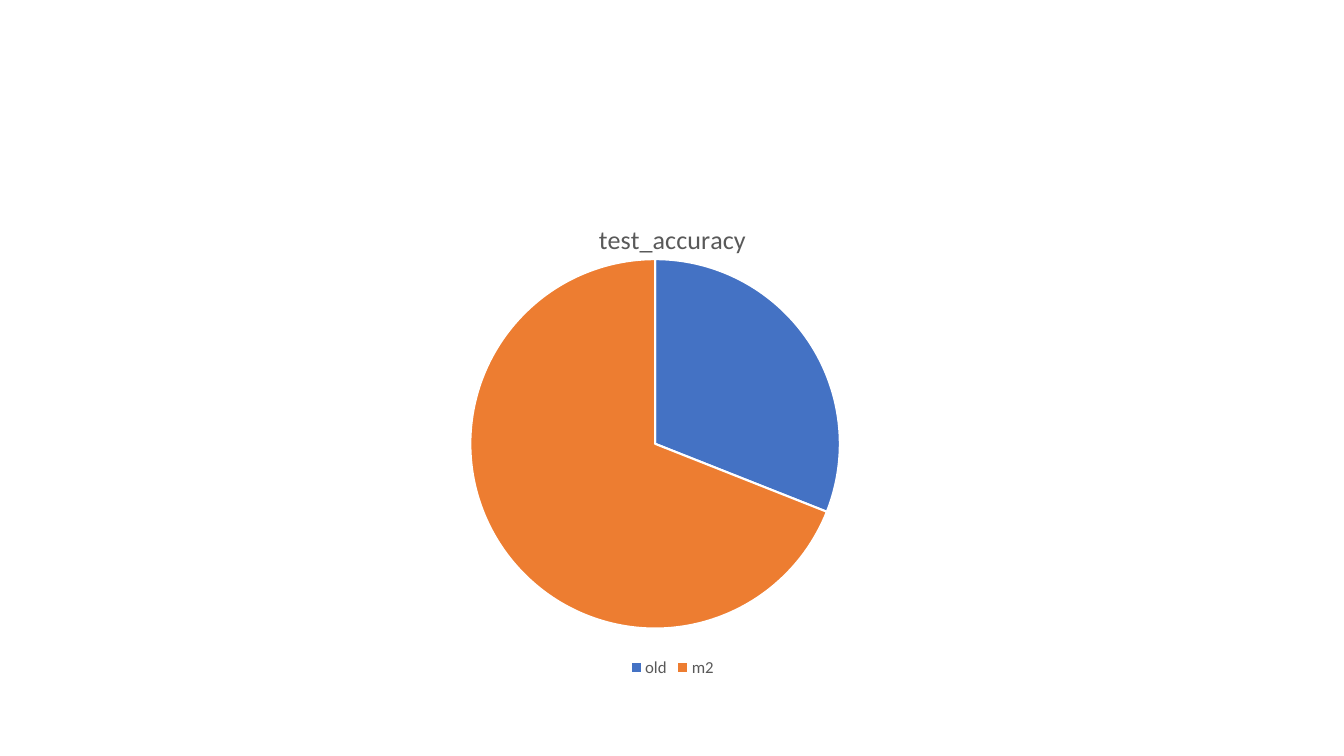
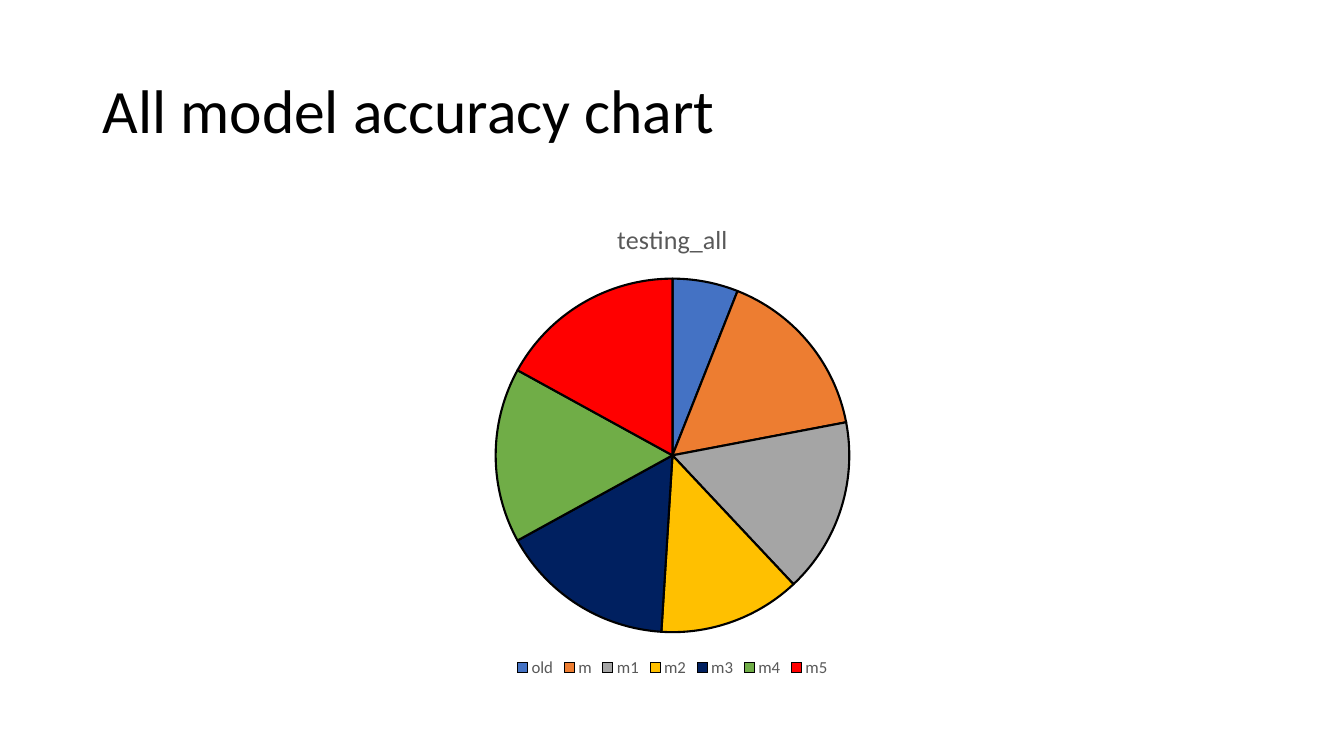
from dataclasses import dataclass
from typing import Any, Optional

from lxml.etree import SubElement
from pptx import Presentation
from pptx.chart.chart import Chart
from pptx.chart.data import CategoryChartData
from pptx.dml.color import RGBColor
from pptx.enum.chart import XL_CHART_TYPE, XL_LEGEND_POSITION
from pptx.enum.text import MSO_ANCHOR
from pptx.oxml.ns import qn
from pptx.slide import Slide
from pptx.text.text import Font
from pptx.util import Inches, Pt


@dataclass(frozen=True)
class Theme:
    font: str = "Calibri"
    text: str = "000000"
    muted: str = "595959"
    background: str = "FFFFFF"
    blue: str = "4472C4"
    orange: str = "ED7D31"
    grey: str = "A5A5A5"
    gold: str = "FFC000"
    navy: str = "002060"
    green: str = "70AD47"
    red: str = "FF0000"
    heading_size: float = 44
    chart_title_size: float = 18.6
    legend_size: float = 12
    chart_size: float = 10
    outline_width: float = 1.5


THEME = Theme()


@dataclass(frozen=True)
class Box:
    left: float
    top: float
    width: float
    height: float

    def lengths(self) -> list[Inches]:
        return [Inches(value) for value in (self.left, self.top, self.width, self.height)]


@dataclass(frozen=True)
class Slice:
    label: str
    value: int
    color: str


@dataclass(frozen=True)
class PieSlide:
    chart_title: str
    slices: tuple[Slice, ...]
    outline: str
    heading: Optional[str] = None
    plot_area: Optional[Box] = None  # fractions of the chart frame


HEADING_BOX = Box(0.92, 0.4, 11.5, 1.45)
CHART_BOX = Box(0.92, 2, 11.5, 4.76)

PIE_SLIDES = (
    PieSlide(
        "test_accuracy",
        (Slice("old", 31, THEME.blue), Slice("m2", 69, THEME.orange)),
        outline=THEME.background,
        plot_area=Box(0, 0.12, 0.97, 0.77),
    ),
    PieSlide(
        "testing_all",
        (
            Slice("old", 6, THEME.blue),
            Slice("m", 16, THEME.orange),
            Slice("m1", 16, THEME.grey),
            Slice("m2", 13, THEME.gold),
            Slice("m3", 16, THEME.navy),
            Slice("m4", 16, THEME.green),
            Slice("m5", 17, THEME.red),
        ),
        outline=THEME.text,
        heading="All model accuracy chart",
    ),
)


def set_attributes(target: Any, values: dict[str, Any]) -> None:
    for name, value in values.items():
        setattr(target, name, value)


def style_font(font: Font, size: float, color: str) -> None:
    set_attributes(font, {"name": THEME.font, "size": Pt(size), "bold": False})
    font.color.rgb = RGBColor.from_string(color)


def add_heading(slide: Slide, text: str) -> None:
    frame = slide.shapes.add_textbox(*HEADING_BOX.lengths()).text_frame
    set_attributes(frame, {"word_wrap": True, "vertical_anchor": MSO_ANCHOR.MIDDLE})
    paragraph = frame.paragraphs[0]
    set_attributes(paragraph, {"text": text, "line_spacing": 0.9})
    style_font(paragraph.runs[0].font, THEME.heading_size, THEME.text)


def place_plot_area(chart: Chart, area: Box) -> None:
    """Fix the inner plot area at fractions of the chart frame."""
    plot_area = chart._chartSpace.find(f".//{qn('c:plotArea')}")
    for layout in plot_area.findall(qn("c:layout")):
        plot_area.remove(layout)
    layout = SubElement(plot_area, qn("c:layout"))
    plot_area.insert(0, layout)
    manual = SubElement(layout, qn("c:manualLayout"))
    settings = {
        "layoutTarget": "inner",
        "xMode": "edge",
        "yMode": "edge",
        "x": area.left,
        "y": area.top,
        "w": area.width,
        "h": area.height,
    }
    for tag, value in settings.items():
        SubElement(manual, qn(f"c:{tag}")).set("val", str(value))


def add_pie(slide: Slide, pie: PieSlide) -> None:
    data = CategoryChartData()
    data.categories = [item.label for item in pie.slices]
    data.add_series(pie.chart_title, [item.value for item in pie.slices])
    chart = slide.shapes.add_chart(XL_CHART_TYPE.PIE, *CHART_BOX.lengths(), data).chart
    style_font(chart.font, THEME.chart_size, THEME.text)

    chart.has_title = True
    title = chart.chart_title.text_frame
    title.text = pie.chart_title
    style_font(title.paragraphs[0].runs[0].font, THEME.chart_title_size, THEME.muted)

    chart.has_legend = True
    set_attributes(
        chart.legend,
        {"position": XL_LEGEND_POSITION.BOTTOM, "include_in_layout": False},
    )
    style_font(chart.legend.font, THEME.legend_size, THEME.muted)

    plot = chart.plots[0]
    plot.vary_by_categories = True
    for index, item in enumerate(pie.slices):
        point_format = plot.series[0].points[index].format
        point_format.fill.solid()
        point_format.fill.fore_color.rgb = RGBColor.from_string(item.color)
        point_format.line.color.rgb = RGBColor.from_string(pie.outline)
        point_format.line.width = Pt(THEME.outline_width)

    if pie.plot_area:
        place_plot_area(chart, pie.plot_area)


def main() -> None:
    presentation = Presentation()
    set_attributes(
        presentation, {"slide_width": Inches(13.33), "slide_height": Inches(7.5)}
    )
    blank_layout = presentation.slide_layouts[6]
    for pie in PIE_SLIDES:
        slide = presentation.slides.add_slide(blank_layout)
        if pie.heading:
            add_heading(slide, pie.heading)
        add_pie(slide, pie)
    presentation.save("out.pptx")


if __name__ == "__main__":
    main()
